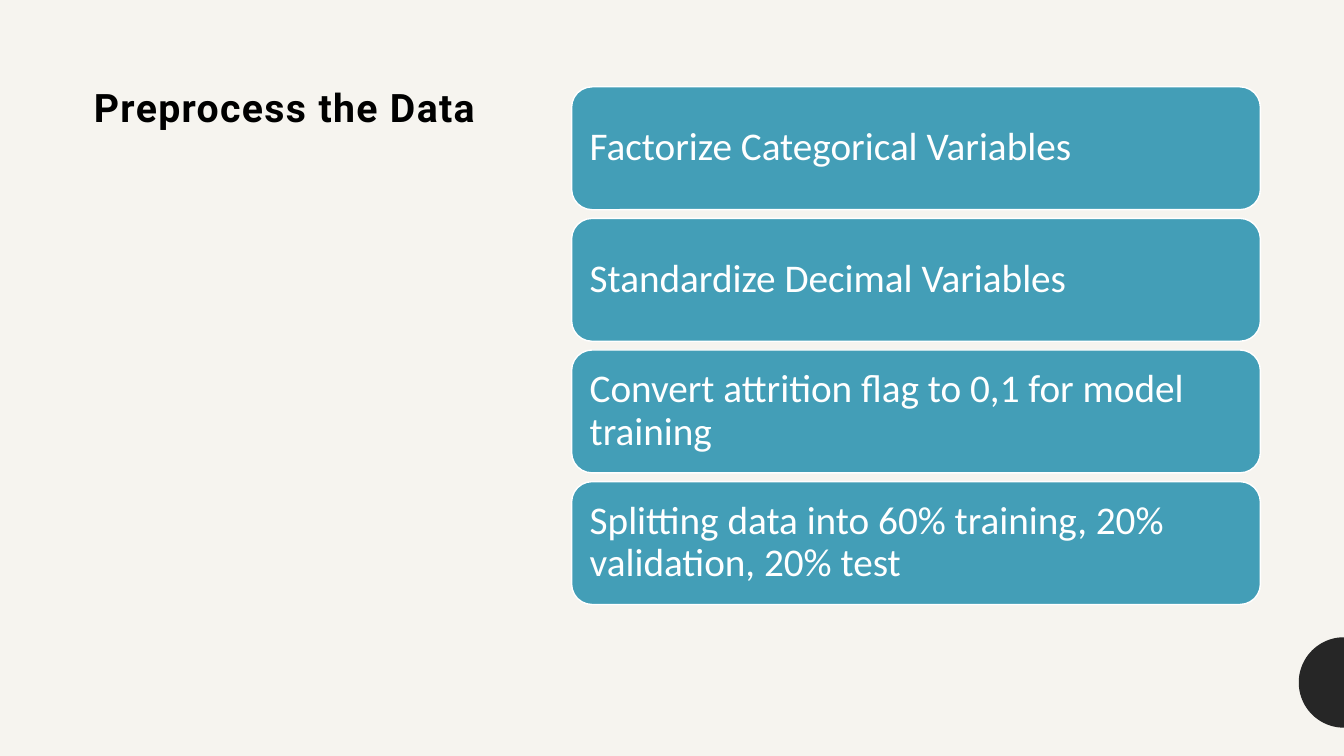
from dataclasses import dataclass
from math import cos, pi, sin

from pptx import Presentation
from pptx.dml.color import RGBColor as RGB
from pptx.enum.shapes import MSO_SHAPE as Shape
from pptx.enum.text import MSO_ANCHOR as Anchor, PP_ALIGN as Align
from pptx.util import Pt

WIDTH, HEIGHT = 960, 540
STEPS = [
    "Factorize Categorical Variables",
    "Standardize Decimal Variables",
    "Convert attrition flag to 0,1 for model training",
    "Splitting data into 60% training, 20% validation, 20% test",
]


@dataclass(frozen=True)
class Theme:
    background: RGB = RGB.from_string("F6F4EF")
    card: RGB = RGB.from_string("439EB7")
    card_text: RGB = RGB.from_string("FFFFFF")
    title: RGB = RGB.from_string("000000")
    accent: RGB = RGB.from_string("262626")
    title_font: str = "Roboto"
    body_font: str = "Calibri"
    text_size: int = 28
    line_spacing: float = 0.9


class SlideBuilder:
    def __init__(self, slide, theme):
        self.shapes = slide.shapes
        self.theme = theme
        slide.background.fill.solid()
        slide.background.fill.fore_color.rgb = theme.background

    def set_text(self, frame, text, font_name, color, bold=False):
        frame.word_wrap = True
        paragraph = frame.paragraphs[0]
        paragraph.text = text
        paragraph.alignment = Align.LEFT
        paragraph.line_spacing = self.theme.line_spacing
        font = paragraph.font
        font.name, font.size, font.bold = font_name, Pt(self.theme.text_size), bold
        font.color.rgb = color
        return paragraph

    def title(self, text, left, top, width, height):
        frame = self.shapes.add_textbox(Pt(left), Pt(top), Pt(width), Pt(height)).text_frame
        heading = self.set_text(frame, text, self.theme.title_font, self.theme.title, bold=True)
        # Letter spacing, in hundredths of a point
        heading.runs[0].font._element.set("spc", "100")

    def card(self, text, left, top, width, height, inset=8.64):
        card = self.shapes.add_shape(
            Shape.ROUNDED_RECTANGLE, Pt(left), Pt(top), Pt(width), Pt(height))
        card.shadow.inherit = False
        card.fill.solid()
        card.fill.fore_color.rgb = self.theme.card
        card.line.color.rgb = self.theme.card_text
        card.line.width = Pt(1)
        frame = card.text_frame
        frame.vertical_anchor = Anchor.MIDDLE
        frame.margin_left = frame.margin_right = Pt(inset)
        frame.margin_top = frame.margin_bottom = Pt(inset)
        self.set_text(frame, text, self.theme.body_font, self.theme.card_text)

    def edge_half_disc(self, center_y, radius, segments=48):
        """Draw the left half of a disc centred on the slide's right edge."""
        angles = [pi * i / segments for i in range(segments + 1)]
        arc = [(Pt(WIDTH - radius * sin(a)), Pt(center_y - radius * cos(a))) for a in angles]
        outline = self.shapes.build_freeform(*arc[0])
        outline.add_line_segments(arc[1:], close=True)
        disc = outline.convert_to_shape()
        disc.shadow.inherit = False
        disc.fill.solid()
        disc.fill.fore_color.rgb = self.theme.accent
        disc.line.fill.background()


def main():
    deck = Presentation()
    deck.slide_width, deck.slide_height = Pt(WIDTH), Pt(HEIGHT)
    builder = SlideBuilder(deck.slides.add_slide(deck.slide_layouts[6]), Theme())

    builder.edge_half_disc(center_y=487.5, radius=32.3)
    builder.title("Preprocess the Data", 60, 60, 302, 374)
    first_top, pitch = 62, 94
    for row, step in enumerate(STEPS):
        builder.card(step, 408.3, first_top + row * pitch, 492, 87.8)

    deck.save("out.pptx")


if __name__ == "__main__":
    main()
